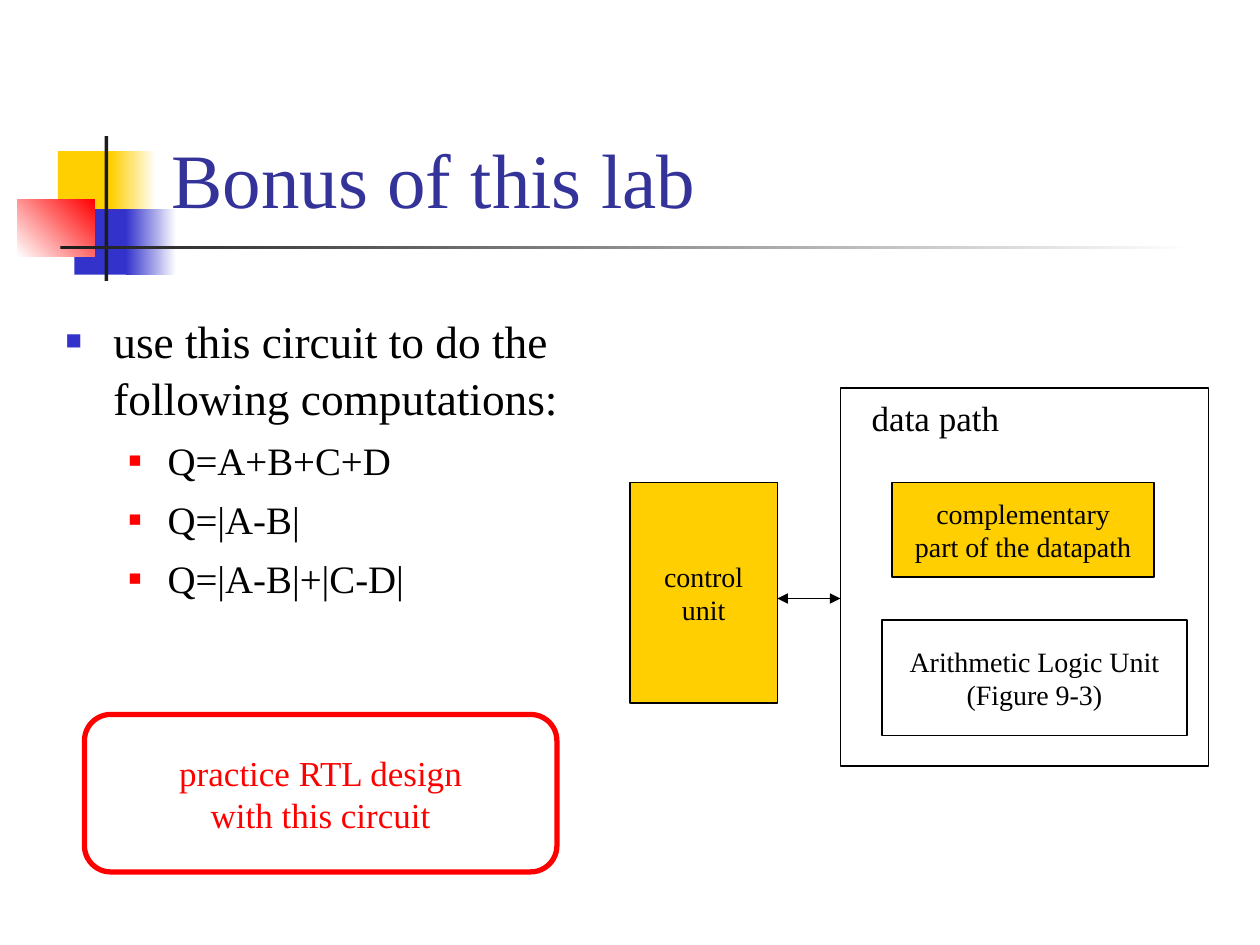
from dataclasses import dataclass

from lxml import etree
from pptx import Presentation
from pptx.dml.color import RGBColor
from pptx.enum.shapes import MSO_CONNECTOR, MSO_SHAPE
from pptx.enum.text import MSO_ANCHOR, MSO_AUTO_SIZE, PP_ALIGN
from pptx.oxml.ns import qn
from pptx.util import Inches, Pt

RECT = MSO_SHAPE.RECTANGLE
ROUNDED = MSO_SHAPE.ROUNDED_RECTANGLE
STRAIGHT = MSO_CONNECTOR.STRAIGHT
MIDDLE, BOTTOM = MSO_ANCHOR.MIDDLE, MSO_ANCHOR.BOTTOM
LEFT, CENTER = PP_ALIGN.LEFT, PP_ALIGN.CENTER
NO_AUTOFIT = MSO_AUTO_SIZE.NONE


@dataclass(frozen=True)
class Theme:
    """Colours, font and type sizes of the slide."""
    font: str = "Times New Roman"
    yellow: str = "FFCF01"
    blue: str = "3333CC"
    red: str = "FF0000"
    dark: str = "1C1C1C"
    white: str = "FFFFFF"
    black: str = "000000"
    title: str = "333399"
    title_size: float = 44
    item_size: float = 25.9
    subitem_size: float = 22.2
    note_size: float = 20
    block_size: float = 16
    thin: float = 0.74
    thick: float = 3


THEME = Theme()


def rgb(value):
    """Turn a hex string into a colour."""
    return RGBColor.from_string(value)


def inches(*lengths):
    """Convert several lengths to slide units."""
    return [Inches(length) for length in lengths]


def style(paragraph, size, color=THEME.black, align=LEFT):
    """Set font and alignment of a paragraph."""
    paragraph.alignment = align
    paragraph.font.name = THEME.font
    paragraph.font.size = Pt(size)
    paragraph.font.color.rgb = rgb(color)


def place(shape, box):
    """Move a placeholder to a box."""
    shape.left, shape.top, shape.width, shape.height = inches(*box)


def bring_to_front(shape):
    """Draw a shape above all those added before it."""
    shape.element.getparent().append(shape.element)


def add_block(slide, box, text="", fill=None, line=THEME.black, width=THEME.thin,
              size=THEME.block_size, color=THEME.black, kind=RECT):
    """Add an outlined block with centred lines of text."""
    block = slide.shapes.add_shape(kind, *inches(*box))
    block.shadow.inherit = False
    if fill:
        block.fill.solid()
        block.fill.fore_color.rgb = rgb(fill)
    else:
        block.fill.background()
    block.line.color.rgb = rgb(line)
    block.line.width = Pt(width)
    frame = block.text_frame
    frame.word_wrap = False
    frame.vertical_anchor = MIDDLE
    frame.text = text
    for paragraph in frame.paragraphs:
        style(paragraph, size, color, CENTER)
    return block


def add_ornament(slide, x, y):
    """Add the coloured squares and crossing rules at the corner x, y."""
    t = THEME
    parts = [
        ((0.32, 0.12, 0.48, 0.52), t.yellow, t.yellow, 0),
        ((0.74, 0.12, 0.36, 0.52), t.yellow, t.white, 0),
        ((0.45, 0.58, 0.46, 0.52), t.blue, t.blue, 0),
        ((0.86, 0.58, 0.4, 0.52), t.blue, t.white, 0),
        ((0, 0.5, 0.61, 0.46), t.white, t.red, 45),
        ((0.69, 0, 0.03, 1.15), t.dark, t.dark, 0),
        ((0.34, 0.87, 9, 0.03), t.dark, t.white, 0),
    ]
    for (dx, dy, width, height), start, end, angle in parts:
        part = slide.shapes.add_shape(RECT, *inches(x + dx, y + dy, width, height))
        part.shadow.inherit = False
        part.line.fill.background()
        if start == end:
            part.fill.solid()
            part.fill.fore_color.rgb = rgb(start)
        else:
            part.fill.gradient()
            part.fill.gradient_angle = angle
            for stop, color in zip(part.fill.gradient_stops, (start, end)):
                stop.color.rgb = rgb(color)


def fill_title(slide, box, text):
    """Write the title into its placeholder."""
    title = slide.shapes.title
    place(title, box)
    title.text_frame.text = text
    title.text_frame.vertical_anchor = BOTTOM
    title.text_frame.auto_size = NO_AUTOFIT
    style(title.text_frame.paragraphs[0], THEME.title_size, THEME.title)
    bring_to_front(title)


def add_bullet(paragraph, indent, hanging, color, percent):
    """Give a paragraph a square bullet and a hanging indent."""
    props = paragraph._p.get_or_add_pPr()
    props.set("marL", str(Inches(indent)))
    props.set("indent", str(-Inches(hanging)))
    bullet_color = etree.SubElement(props, qn("a:buClr"))
    etree.SubElement(bullet_color, qn("a:srgbClr"), val=color)
    etree.SubElement(props, qn("a:buSzPct"), val=str(percent * 1000))
    etree.SubElement(props, qn("a:buFont"), typeface=THEME.font)
    etree.SubElement(props, qn("a:buChar"), char="■")


def fill_list(slide, box, items):
    """Write (level, text) items into the body placeholder."""
    levels = [
        (THEME.item_size, 7, (0.38, 0.38, THEME.blue, 60)),
        (THEME.subitem_size, 6, (0.81, 0.31, THEME.red, 55)),
    ]
    body = slide.placeholders[1]
    place(body, box)
    frame = body.text_frame
    frame.text = "\n".join(text for _, text in items)
    frame.auto_size = NO_AUTOFIT
    for paragraph, (level, _) in zip(frame.paragraphs, items):
        size, space, bullet = levels[level]
        paragraph.level = level
        paragraph.line_spacing = 1.04
        paragraph.space_before = Pt(space)
        style(paragraph, size)
        add_bullet(paragraph, *bullet)
    bring_to_front(body)


def add_double_arrow(slide, start, end):
    """Add a thin line with arrowheads at both ends."""
    arrow = slide.shapes.add_connector(STRAIGHT, *inches(*start, *end))
    arrow.line.color.rgb = rgb(THEME.black)
    arrow.line.width = Pt(THEME.thin)
    outline = arrow.line._get_or_add_ln()
    for end_tag in ("a:headEnd", "a:tailEnd"):
        etree.SubElement(outline, qn(end_tag), type="triangle")
    etree.SubElement(arrow.element.spPr, qn("a:effectLst"))


def add_circuit(slide, x, y):
    """Add the control unit and data path diagram at the corner x, y."""
    add_block(slide, (x + 2, y + 1.84, 2.42, 0.92),
              "Arithmetic Logic Unit\n(Figure 9-3)")
    add_block(slide, (x + 2.08, y + 0.75, 2.08, 0.75),
              "complementary\npart of the datapath", THEME.yellow)
    add_block(slide, (x + 1.67, y, 2.92, 3))
    label = slide.shapes.add_textbox(*inches(x + 1.82, y + 0.02, 1.21, 0.44))
    label.text_frame.word_wrap = False
    label.text_frame.text = "data path"
    style(label.text_frame.paragraphs[0], THEME.note_size)
    add_block(slide, (x, y + 0.75, 1.17, 1.75), "control\nunit", THEME.yellow)
    add_double_arrow(slide, (x + 1.17, y + 1.67), (x + 1.67, y + 1.67))


def main():
    """Build and save the slide."""
    deck = Presentation()
    deck.slide_width, deck.slide_height = inches(10, 7.5)
    slide = deck.slides.add_slide(deck.slide_layouts[1])
    add_ornament(slide, 0.14, 1.08)
    fill_title(slide, (1.26, 0.23, 8.52, 1.6), "Bonus of this lab")
    fill_list(slide, (0.42, 2.42, 4.33, 2.58), [
        (0, "use this circuit to do the following computations:"),
        (1, "Q=A+B+C+D"), (1, "Q=|A-B|"), (1, "Q=|A-B|+|C-D|")])
    add_circuit(slide, 5, 3.08)
    add_block(slide, (0.67, 5.67, 3.75, 1.25), "practice RTL design\nwith this circuit",
              line=THEME.red, width=THEME.thick, size=THEME.note_size,
              color=THEME.red, kind=ROUNDED)
    deck.save("out.pptx")


main()
